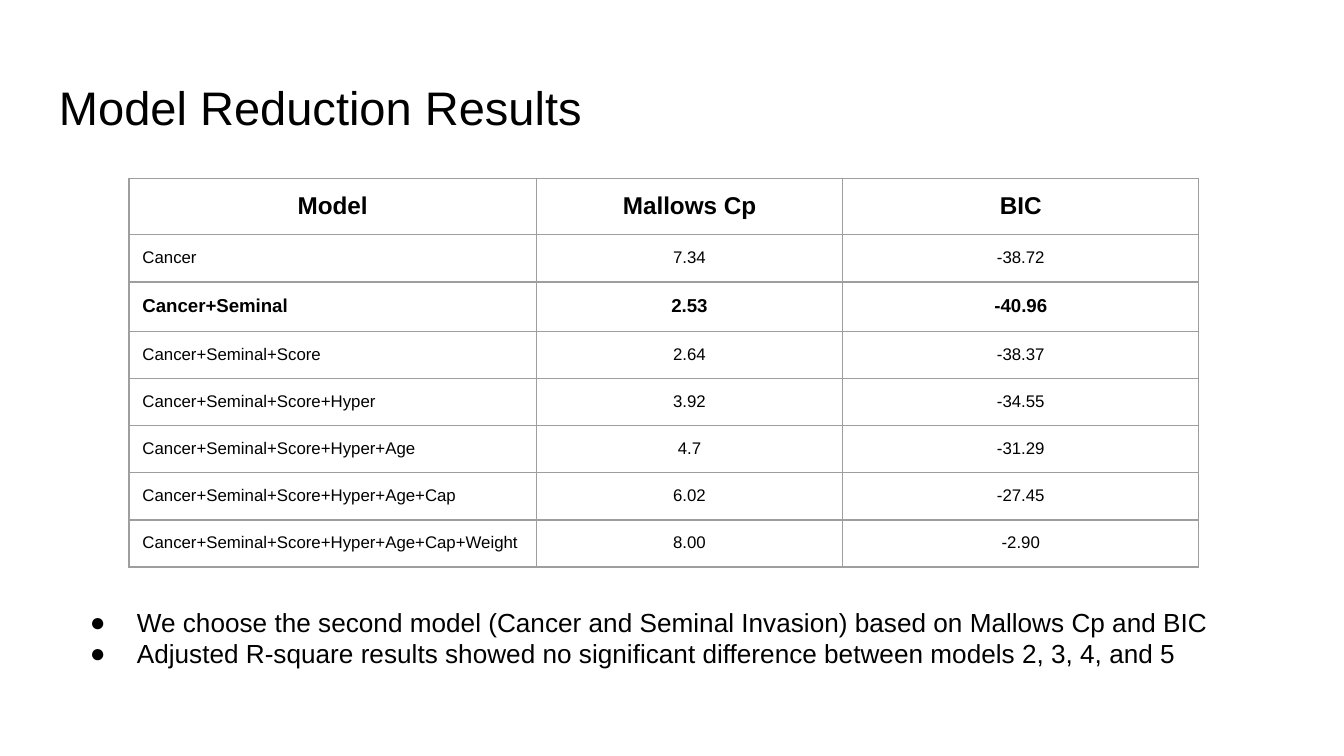
import pptx
import pptx.dml.color
import pptx.enum.text
import pptx.oxml.ns
import pptx.util
import lxml.etree

SLIDE_W = 10
SLIDE_H = SLIDE_W * 9 / 16
FONT = "Arial"
COLORS = {"text": "000000", "border": "9E9E9E"}
PADDING = pptx.util.Inches(0.1)
ALIGN = pptx.enum.text.PP_ALIGN

# Table grid, in inches; rows grow to fit their text
TABLE_LEFT, TABLE_TOP = 0.96, 1.33
COLUMN_WIDTHS = [3.03, 2.28, 2.65]
ROW_HEIGHT = 0.31
HEADER_STYLE = {"size": 13, "bold": True}
CHOSEN_STYLE = {"size": 10, "bold": True}
PLAIN_STYLE = {"size": 9, "bold": False}

HEADINGS = ["Model", "Mallows Cp", "BIC"]
# Each model adds one predictor to the one before
RESULTS = [
    ("Cancer", "7.34", "-38.72"),
    ("Seminal", "2.53", "-40.96"),
    ("Score", "2.64", "-38.37"),
    ("Hyper", "3.92", "-34.55"),
    ("Age", "4.7", "-31.29"),
    ("Cap", "6.02", "-27.45"),
    ("Weight", "8.00", "-2.90"),
]
CHOSEN = 1
CONCLUSIONS = [
    "We choose the second model (Cancer and Seminal Invasion) based on Mallows Cp and BIC",
    "Adjusted R-square results showed no significant difference between models 2, 3, 4, and 5",
]


def add_xml(parent, tag, **attributes):
    attributes = {name: str(value) for name, value in attributes.items()}
    return lxml.etree.SubElement(parent, pptx.oxml.ns.qn(tag), attributes)


def add_run(paragraph, text, size, bold=False):
    run = paragraph.add_run()
    run.text = text
    run.font.name = FONT
    run.font.size = pptx.util.Pt(size)
    run.font.bold = bold
    run.font.color.rgb = pptx.dml.color.RGBColor.from_string(COLORS["text"])


def pad(holder):
    """Give a text frame or table cell equal padding on all sides."""
    holder.margin_left = holder.margin_right = PADDING
    holder.margin_top = holder.margin_bottom = PADDING


def add_text_frame(slide, left, top, width, height):
    """Add a padded text box, placed by percentages of the slide's size."""
    box = slide.shapes.add_textbox(
        pptx.util.Inches(left / 100 * SLIDE_W), pptx.util.Inches(top / 100 * SLIDE_H),
        pptx.util.Inches(width / 100 * SLIDE_W), pptx.util.Inches(height / 100 * SLIDE_H))
    frame = box.text_frame
    frame.word_wrap = True
    pad(frame)
    return frame


def add_bullet(paragraph):
    properties = paragraph._p.get_or_add_pPr()
    properties.set("marL", str(pptx.util.Inches(0.5)))
    properties.set("indent", str(pptx.util.Inches(-0.35)))
    bullet_color = add_xml(properties, "a:buClr")
    add_xml(bullet_color, "a:srgbClr", val=COLORS["text"])
    add_xml(properties, "a:buFont", typeface=FONT)
    add_xml(properties, "a:buChar", char="●")


def add_borders(cell):
    properties = cell._tc.get_or_add_tcPr()
    for side in ("a:lnL", "a:lnR", "a:lnT", "a:lnB"):
        line = add_xml(properties, side, w=pptx.util.Pt(0.75))
        add_xml(add_xml(line, "a:solidFill"), "a:srgbClr", val=COLORS["border"])


def fill_cell(cell, text, align, style):
    pad(cell)
    paragraph = cell.text_frame.paragraphs[0]
    paragraph.alignment = align
    add_run(paragraph, text, style["size"], style["bold"])
    add_borders(cell)
    cell.fill.background()


def add_results_table(slide):
    predictors = [result[0] for result in RESULTS]
    rows = [(HEADINGS, HEADER_STYLE)]
    for index, (_, mallows_cp, bic) in enumerate(RESULTS):
        model = "+".join(predictors[:index + 1])
        style = CHOSEN_STYLE if index == CHOSEN else PLAIN_STYLE
        rows.append(([model, mallows_cp, bic], style))

    table = slide.shapes.add_table(
        len(rows), len(HEADINGS),
        pptx.util.Inches(TABLE_LEFT), pptx.util.Inches(TABLE_TOP),
        pptx.util.Inches(sum(COLUMN_WIDTHS)),
        pptx.util.Inches(ROW_HEIGHT * len(rows))).table
    table.first_row = table.horz_banding = False
    for column, width in zip(table.columns, COLUMN_WIDTHS):
        column.width = pptx.util.Inches(width)
    for row_index, (texts, style) in enumerate(rows):
        for column_index, text in enumerate(texts):
            is_model_name = row_index > 0 and column_index == 0
            align = ALIGN.LEFT if is_model_name else ALIGN.CENTER
            fill_cell(table.cell(row_index, column_index), text, align, style)


def add_title(slide, text):
    frame = add_text_frame(slide, 3.41, 8.65, 93.18, 11.13)
    add_run(frame.paragraphs[0], text, 25.2)


def add_conclusions(slide):
    frame = add_text_frame(slide, 4.2, 78.45, 91.6, 11.9)
    for index, text in enumerate(CONCLUSIONS):
        paragraph = frame.add_paragraph() if index else frame.paragraphs[0]
        add_bullet(paragraph)
        add_run(paragraph, text, 14)


def main():
    presentation = pptx.Presentation()
    presentation.slide_width = pptx.util.Inches(SLIDE_W)
    presentation.slide_height = pptx.util.Inches(SLIDE_H)
    slide = presentation.slides.add_slide(presentation.slide_layouts[6])

    add_title(slide, "Model Reduction Results")
    add_conclusions(slide)
    add_results_table(slide)

    presentation.save("out.pptx")


if __name__ == "__main__":
    main()
